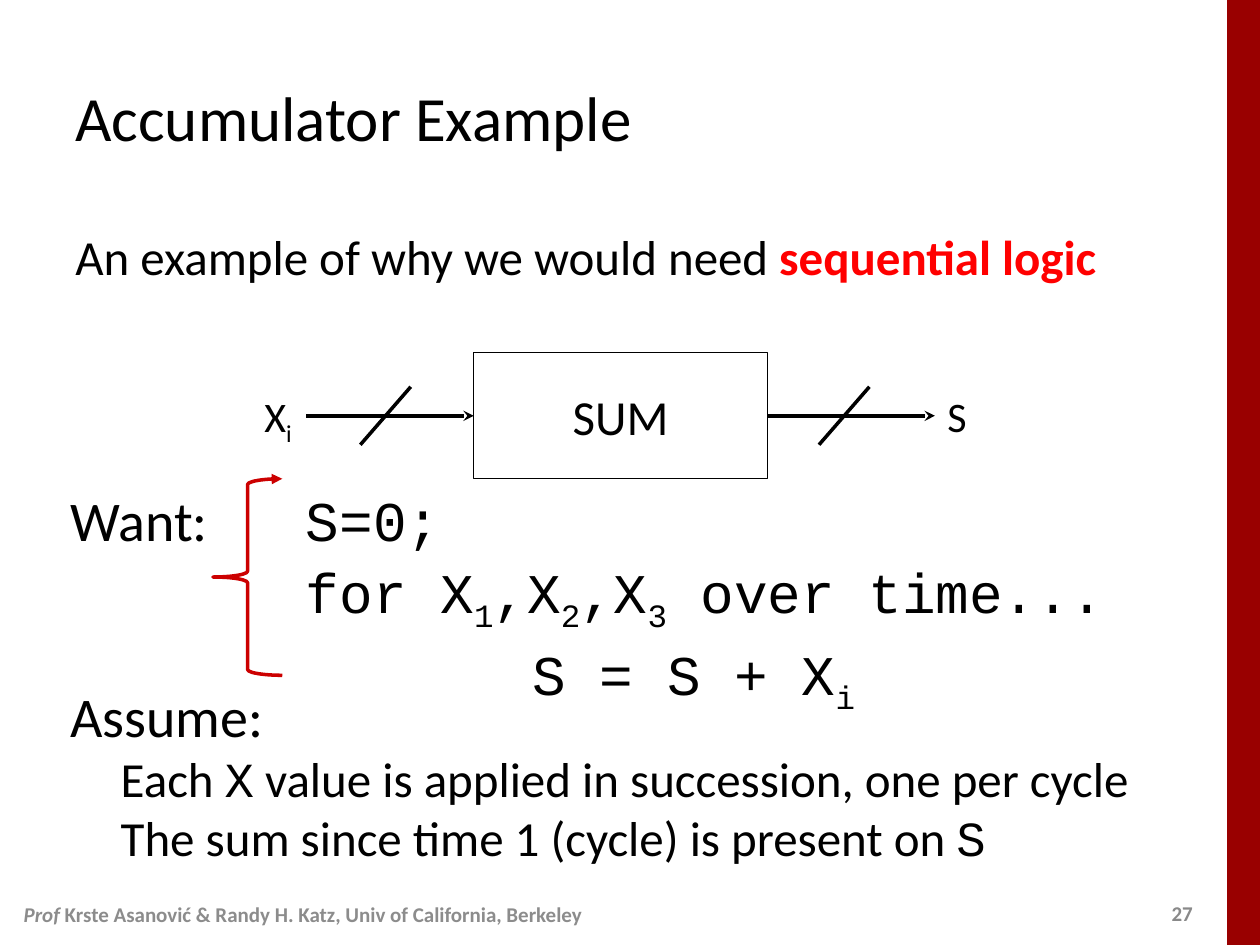
from dataclasses import dataclass
from lxml.etree import SubElement
from pptx import Presentation
from pptx.dml.color import RGBColor
from pptx.enum.shapes import MSO_CONNECTOR, MSO_SHAPE
from pptx.enum.text import MSO_ANCHOR, PP_ALIGN
from pptx.oxml.ns import qn
from pptx.util import Inches, Pt


@dataclass(frozen=True)
class Theme:
    sans: str = "Calibri"
    mono: str = "Courier New"
    ink: str = "000000"
    paper: str = "FFFFFF"
    band: str = "990000"
    brace: str = "CC0000"
    key: str = "FF0000"
    page: str = "898989"
    foot: str = "8C8C8C"
    title: int = 36
    head: int = 32
    body: int = 28
    label: int = 24
    small: int = 12
    thin: float = 0.75
    thick: float = 2


THEME = Theme()
COLS, ROWS = 10, 7.5
CELL = Inches(1)


def cells(*spans):
    return [round(span * CELL) for span in spans]


def rgb(code):
    return RGBColor.from_string(code)


def add_para(frame, parts, size, first=False, font=THEME.sans, color=THEME.ink,
             bold=False, left=0, hang=0, before=0, align=PP_ALIGN.LEFT):
    para = frame.paragraphs[0] if first else frame.add_paragraph()
    para.alignment = align
    para.space_before = Pt(before)
    para.font.name, para.font.size = font, Pt(size)
    para.font.bold, para.font.color.rgb = bold, rgb(color)
    props = para._p.get_or_add_pPr()
    props.set("marL", str(cells(left)[0]))
    props.set("indent", str(cells(-hang)[0]))
    for part in parts:
        words, style = part if isinstance(part, tuple) else (part, {})
        run = para.add_run()
        run.text = words
        run.font.name = style.get("font", font)
        run.font.size = Pt(size)
        run.font.bold = style.get("bold", bold)
        run.font.italic = style.get("italic", False)
        run.font.color.rgb = rgb(style.get("color", color))
        if style.get("sub"):
            run.font._element.set("baseline", "-25000")


def add_text(slide, box, paras, middle=False):
    frame = slide.shapes.add_textbox(*cells(*box)).text_frame
    frame.word_wrap = True
    frame.vertical_anchor = MSO_ANCHOR.MIDDLE if middle else MSO_ANCHOR.TOP
    for place, (parts, size, style) in enumerate(paras):
        add_para(frame, parts, size, first=place == 0, **style)


def add_rect(slide, box, fill, line=None):
    rect = slide.shapes.add_shape(MSO_SHAPE.RECTANGLE, *cells(*box))
    rect.shadow.inherit = False
    rect.fill.solid()
    rect.fill.fore_color.rgb = rgb(fill)
    if line:
        rect.line.color.rgb = rgb(line)
        rect.line.width = Pt(THEME.thin)
    else:
        rect.line.fill.background()
    return rect


def ink_line(shape, color, tail=None):
    shape.line.color.rgb = rgb(color)
    shape.line.width = Pt(THEME.thick)
    if tail:
        SubElement(shape.line._get_or_add_ln(), qn("a:tailEnd"), type=tail)


def add_line(slide, start, end, tail=None):
    line = slide.shapes.add_connector(
        MSO_CONNECTOR.STRAIGHT, *cells(*start, *end))
    ink_line(line, THEME.ink, tail)
    SubElement(line._element.spPr, qn("a:effectLst"))


def add_bus(slide, start, end, row, slash):
    add_line(slide, (start, row), (end, row), "stealth")
    add_line(slide, (slash - 0.2, row + 0.23), (slash + 0.2, row - 0.23))


def add_brace(slide, box):
    brace = slide.shapes.add_shape(MSO_SHAPE.LEFT_BRACE, *cells(*box))
    brace.shadow.inherit = False
    brace.fill.background()
    ink_line(brace, THEME.brace, "triangle")


def draw_sum(slide):
    left, wide, row, reach = 3.76, 2.33, 3.3, 1.33
    right = left + wide
    rect = add_rect(slide, (left, row - 0.5, wide, 1), THEME.paper, THEME.ink)
    rect.text_frame.vertical_anchor = MSO_ANCHOR.MIDDLE
    add_para(rect.text_frame, ["SUM"], THEME.body, first=True,
             align=PP_ALIGN.CENTER)
    add_bus(slide, left - reach, left, row, 3.06)
    add_bus(slide, right, right + reach, row, 6.7)
    add_text(slide, (2, row - 0.25, 0.46, 0.5),
             [(["X", ("i", {"sub": True})], THEME.label, {})])
    add_text(slide, (right + reach, row - 0.25, 0.36, 0.5),
             [(["S"], THEME.label, {})])


def draw_code(slide):
    sub, mono = {"sub": True}, {"font": THEME.mono}
    code = {"font": THEME.mono, "before": 3}
    loop = ["for X", ("1", sub), ",X", ("2", sub), ",X", ("3", sub),
            " over time..."]
    add_text(slide, (0.46, 3.8, 8.83, 1.72), [
        (["Want:\t", ("S=0;", mono)], THEME.head, {"left": 1.87, "hang": 1.87}),
        (loop, THEME.head, {"left": 1.87, **code}),
        (["S = S + X", ("i", sub)], THEME.head, {"left": 3.67, **code}),
    ])
    add_brace(slide, (1.69, 3.8, 0.55, 1.56))


def draw_notes(slide):
    mono, deep = {"font": THEME.mono}, {"left": 0.4}
    add_text(slide, (0.46, 5.36, 9.15, 1.59), [
        (["Assume:"], THEME.head, {}),
        (["Each ", ("X", mono),
          " value is applied in succession, one per cycle"], THEME.body, deep),
        (["The sum since time 1 (cycle) is present on ", ("S", mono)],
         THEME.body, deep),
    ])


def draw_frame(slide):
    add_rect(slide, (COLS - 0.26, 0, 0.26, ROWS), THEME.band)
    add_text(slide, (9.2, 7.1, 0.4, 0.3),
             [(["27"], THEME.small, {"color": THEME.page, "bold": True})], True)
    add_text(slide, (0.09, 7.06, 5.74, 0.39), [
        ([("Prof ", {"italic": True}),
          "Krste Asanović & Randy H. Katz, Univ of California, Berkeley"],
         THEME.small, {"color": THEME.foot, "bold": True})], True)


def main():
    deck = Presentation()
    deck.slide_width, deck.slide_height = cells(COLS, ROWS)
    slide = deck.slides.add_slide(deck.slide_layouts[6])
    draw_frame(slide)
    add_text(slide, (0.5, 0.3, 9, 1.25),
             [(["Accumulator Example"], THEME.title, {})], True)
    add_text(slide, (0.5, 1.75, 9, 1.5), [
        (["An example of why we would need ",
          ("sequential logic", {"color": THEME.key, "bold": True})],
         THEME.body, {})])
    draw_code(slide)
    draw_notes(slide)
    draw_sum(slide)
    deck.save("out.pptx")


if __name__ == "__main__":
    main()
